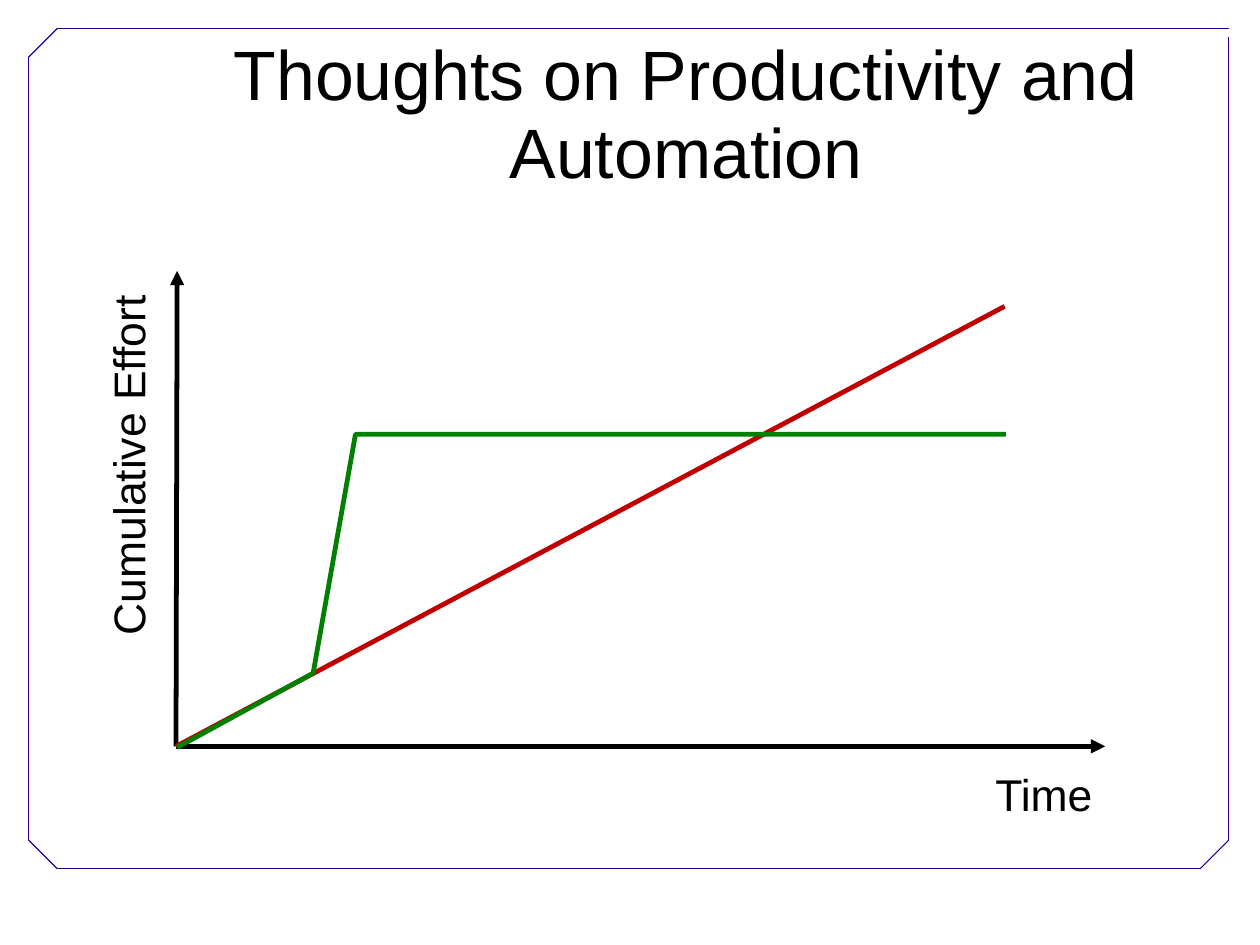
from itertools import pairwise

from pptx import Presentation
from pptx.dml.color import RGBColor
from pptx.enum.shapes import MSO_CONNECTOR as Connector
from pptx.enum.text import MSO_ANCHOR as Anchor, PP_ALIGN as Align
from pptx.oxml.ns import qn
from pptx.util import Inches, Pt
from lxml.etree import SubElement

BLACK = RGBColor(0x00, 0x00, 0x00)
INDIGO = RGBColor(0x28, 0x00, 0x99)
RED = RGBColor(0xC0, 0x00, 0x00)
GREEN = RGBColor(0x00, 0x80, 0x00)

CM_PER_INCH = 2.54
ORIGIN = (1.54, 6.53)
FRAME_CORNERS = [(10.75, 0.32), (10.75, 7.35), (10.5, 7.6), (0.5, 7.6),
                 (0.25, 7.35), (0.25, 0.5), (0.5, 0.25), (10.75, 0.25)]
AXIS_ENDS = [(1.55, 2.37), (9.67, 6.53)]
MANUAL_END = (8.79, 2.68)
AUTOMATED_EFFORT = [(1.55, 6.54), (2.74, 5.89), (3.11, 3.8), (8.8, 3.8)]


class SlideBuilder:
    """Hold the text style and the current page, and add elements to it."""

    def __init__(self, page, font="Arial", spacing=0.93):
        self.page = page
        self.font = font
        self.spacing = spacing

    def text(self, words, place, size, align=Align.LEFT, rotation=0, **frame_format):
        box = self.page.shapes.add_textbox(*map(Inches, place))
        box.rotation = rotation
        frame = box.text_frame
        for name, value in frame_format.items():
            setattr(frame, name, value)
        para = frame.paragraphs[0]
        para.alignment = align
        para.line_spacing = self.spacing
        span = para.add_run()
        span.text = words
        style = {"name": self.font, "size": Pt(size)}
        for name, value in style.items():
            setattr(span.font, name, value)
        span.font.color.rgb = BLACK

    def stroke(self, shape, color, width):
        shape.line.color.rgb = color
        shape.line.width = Pt(width)

    def line(self, start, end, color, width=3, arrow=False):
        line = self.page.shapes.add_connector(
            Connector.STRAIGHT, *map(Inches, (*start, *end)))
        self.stroke(line, color, width)
        if arrow:
            outline = line._element.spPr.find(qn("a:ln"))
            SubElement(outline, qn("a:tailEnd"), type="triangle")
        SubElement(line._element.spPr, qn("a:effectLst"))

    def curve(self, points, color, width=3):
        start, *rest = [tuple(map(Inches, point)) for point in points]
        builder = self.page.shapes.build_freeform(*start)
        builder.add_line_segments(rest, close=False)
        shape = builder.convert_to_shape()
        shape.shadow.inherit = False
        shape.fill.background()
        self.stroke(shape, color, width)


deck = Presentation()
deck.slide_width = Inches(28 / CM_PER_INCH)
deck.slide_height = Inches(21 / CM_PER_INCH)
slide = SlideBuilder(deck.slides.add_slide(deck.slide_layouts[6]))

for start, end in pairwise(FRAME_CORNERS):
    slide.line(start, end, INDIGO, width=0.74)

title_format = {
    "word_wrap": True,
    "vertical_anchor": Anchor.MIDDLE,
    "margin_left": Inches(0.11),
    "margin_right": Inches(0.11),
    "margin_top": Inches(0.06),
    "margin_bottom": Inches(0.06),
}
slide.text("Thoughts on Productivity and Automation", (1.54, 0.33, 8.93, 1.38),
           44, Align.CENTER, **title_format)

for axis_end in AXIS_ENDS:
    slide.line(ORIGIN, axis_end, BLACK, arrow=True)
slide.text("Time", (8.61, 6.7, 1.05, 0.57), 28, word_wrap=False)
slide.text("Cumulative Effort", (-0.43, 3.78, 3.18, 0.57), 28,
           rotation=270, word_wrap=False)

slide.line(ORIGIN, MANUAL_END, RED)
slide.curve(AUTOMATED_EFFORT, GREEN)

deck.save("out.pptx")
